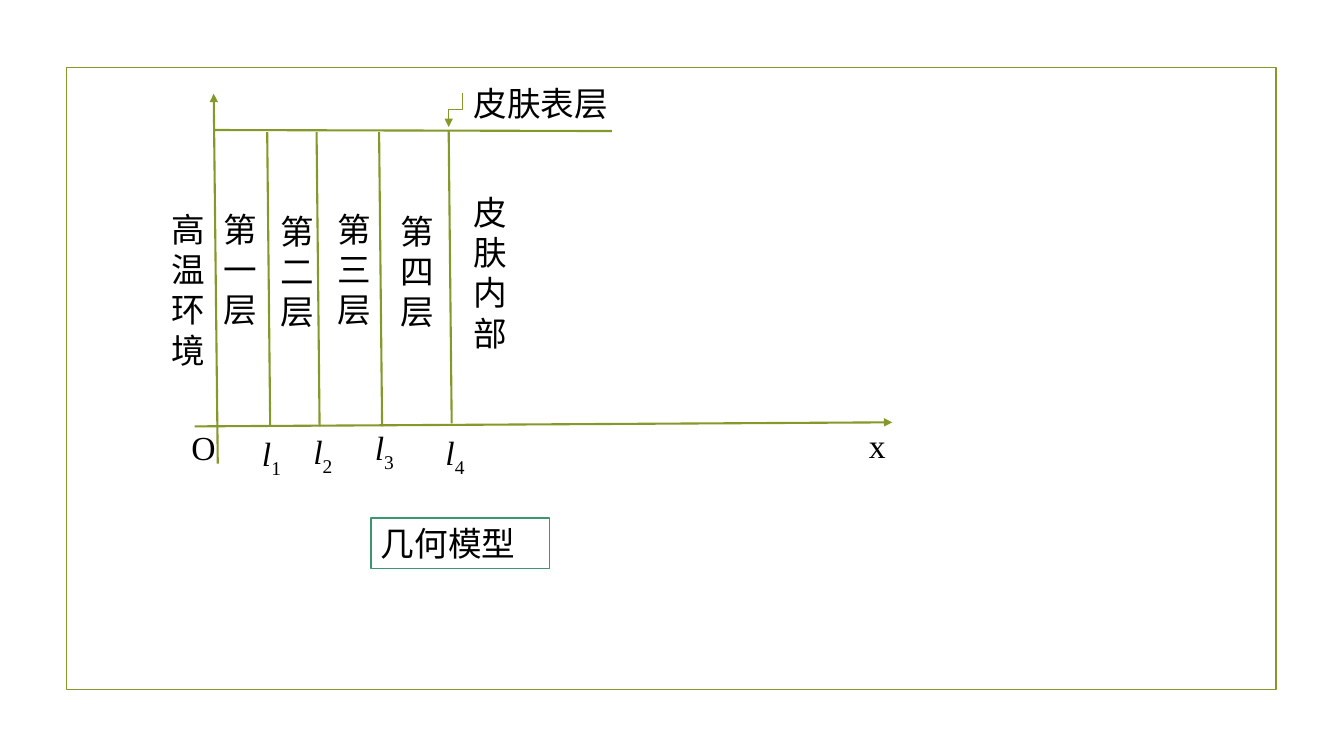
from pptx import Presentation
from pptx.dml.color import RGBColor
from pptx.enum.shapes import MSO_CONNECTOR, MSO_SHAPE
from pptx.enum.text import MSO_ANCHOR, PP_ALIGN
from pptx.oxml.ns import qn
from pptx.util import Inches, Pt
from lxml.etree import SubElement

GREEN, TEAL, BLACK, WHITE = "83992A", "3C9770", "000000", "FFFFFF"
SERIF, SANS = "Times New Roman", "Noto Sans CJK JP"

# Content: axes and top edge as (x1, y1, x2, y2, arrow)
AXES = [
    (1.93, 4.23, 8.85, 4.19, True),
    (2.16, 4.6, 2.12, 0.93, True),
    (2.12, 1.29, 6.07, 1.3, False),
]
# Layer borders: (x at top, top, bottom); each leans by the same amount
BORDERS = [(2.65, 1.31, 4.23), (3.14, 1.31, 4.23), (3.76, 1.31, 4.23), (4.45, 1.29, 4.2)]
LEAN = 0.03
# Layer names: (text, left, top)
LAYERS = [("第一层", 2.12, 2.02), ("第二层", 2.68, 2.04),
          ("第三层", 3.25, 2.02), ("第四层", 3.87, 2.04)]
# Other labels: (text, font, left, top, width, height)
LABELS = [
    ("高温环境", SERIF, 1.6, 2.02, 0.73, 1.72),
    ("皮肤内部", SERIF, 4.6, 1.85, 0.5, 1.72),
    ("皮肤表层", SANS, 4.6, 0.77, 1.54, 0.5),
    ("O", SERIF, 1.8, 4.19, 0.52, 0.5),
    ("x", SERIF, 8.52, 4.17, 0.73, 0.5),
]
# Border marks l1 to l4: (left, top)
MARKS = [(2.5, 4.25), (3.01, 4.23), (3.62, 4.19), (4.32, 4.24)]
CAPTION = "几何模型"

deck = Presentation()
deck.slide_width, deck.slide_height = Inches(13.33), Inches(7.5)
slide = deck.slides.add_slide(deck.slide_layouts[6])
shapes = slide.shapes


def color(code):
    return RGBColor.from_string(code)


def style(run, font):
    run.font.size = Pt(24)
    run.font.name = font
    run.font.color.rgb = color(BLACK)
    SubElement(run.font._element, qn("a:ea")).set("typeface", SANS)


def label(text, font, *box):
    frame = shapes.add_textbox(*map(Inches, box)).text_frame
    frame.word_wrap = True
    para = frame.paragraphs[0]
    para.text = text
    style(para.runs[0], font)
    return para


def line(x1, y1, x2, y2, arrow=False, width=1.5, kind=MSO_CONNECTOR.STRAIGHT):
    link = shapes.add_connector(kind, *map(Inches, (x1, y1, x2, y2)))
    link.line.color.rgb = color(GREEN)
    link.line.width = Pt(width)
    if arrow:
        SubElement(link.line._get_or_add_ln(), qn("a:tailEnd")).set("type", "triangle")
    SubElement(link._element.spPr, qn("a:effectLst"))
    return link


def panel(edge, *box):
    rect = shapes.add_shape(MSO_SHAPE.RECTANGLE, *map(Inches, box))
    rect.shadow.inherit = False
    rect.line.color.rgb = color(edge)
    rect.line.width = Pt(1.25)
    return rect


# Slide frame
panel(GREEN, 0.66, 0.67, 12, 6.17).fill.background()

# Axes and layer borders
for axis in AXES:
    line(*axis)
for x, top, base in BORDERS:
    line(x, top, x + LEAN, base)

# Bent arrow to the skin surface, turned a quarter
bend = line(4.35, 1.02, 4.69, 1.16, True, 0.75, MSO_CONNECTOR.ELBOW)
bend._element.spPr.find(qn("a:xfrm")).set("rot", "5400000")

# Labels
for text, x, y in LAYERS:
    label(text, SANS, x, y, 0.45, 1.31)
for item in LABELS:
    label(*item)
for num, (x, y) in enumerate(MARKS, 1):
    para = label("l", SERIF, x, y, 0.49, 0.5)
    para.runs[0].font.italic = True
    sub = para.add_run()
    sub.text = str(num)
    style(sub, SERIF)
    sub.font._element.set("baseline", "-25000")

# Caption
box = panel(TEAL, 3.68, 5.14, 1.77, 0.5)
box.fill.solid()
box.fill.fore_color.rgb = color(WHITE)
frame = box.text_frame
frame.word_wrap = True
frame.vertical_anchor = MSO_ANCHOR.TOP
frame.text = CAPTION
frame.paragraphs[0].alignment = PP_ALIGN.LEFT
style(frame.paragraphs[0].runs[0], SERIF)

deck.save("out.pptx")
